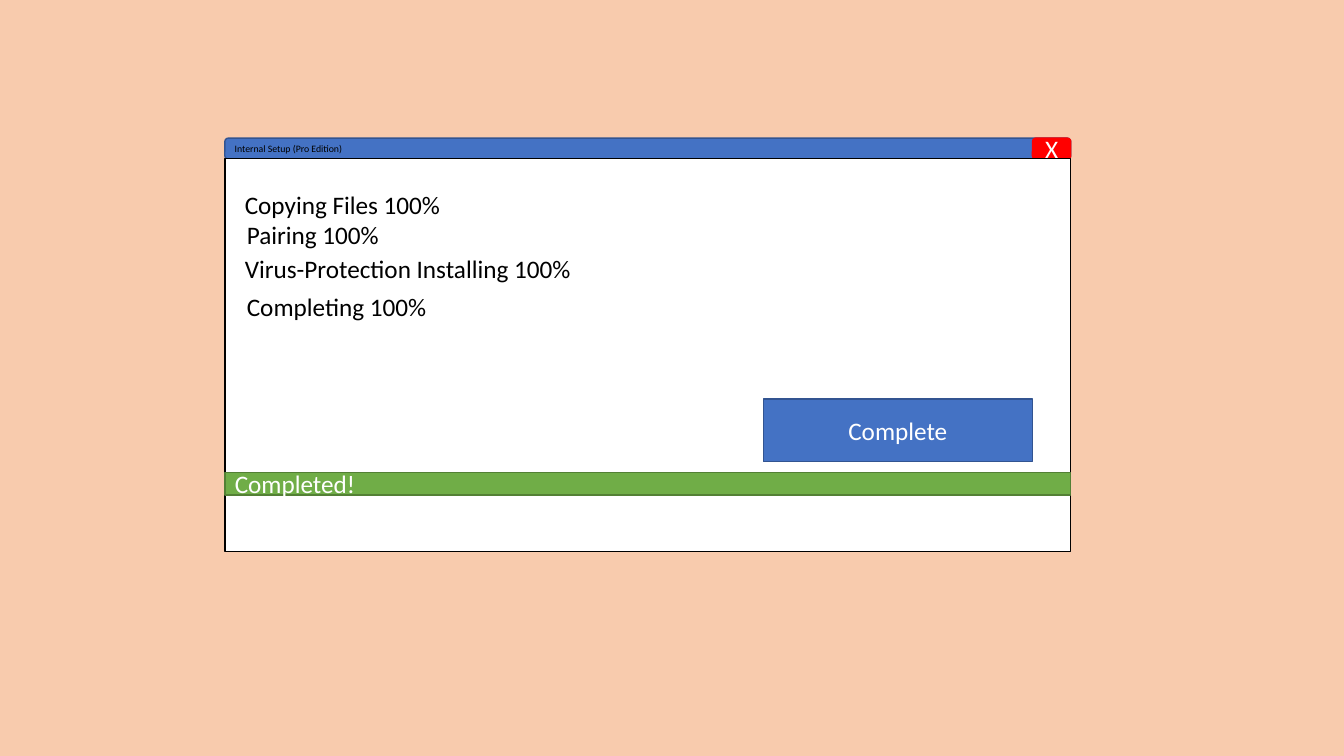
"""Build a slide showing a finished setup window."""
import pptx
import pptx.util
import pptx.dml.color
import pptx.enum.shapes
import pptx.enum.text

Inches = pptx.util.Inches
Pt = pptx.util.Pt
RGB = pptx.dml.color.RGBColor
KIND = pptx.enum.shapes.MSO_SHAPE
ALIGN = pptx.enum.text.PP_ALIGN
ANCHOR = pptx.enum.text.MSO_ANCHOR
FIT = pptx.enum.text.MSO_AUTO_SIZE

COLORS = {
    "peach": "F8CBAD", "blue": "4472C4", "navy": "325491", "red": "FF0000",
    "green": "70AD47", "moss": "538035", "white": "FFFFFF", "black": "000000",
}

deck = pptx.Presentation()
deck.slide_width, deck.slide_height = Inches(13.33), Inches(7.5)
slide = deck.slides.add_slide(deck.slide_layouts[6])


def write(shape, text, size=18, color="black", align=ALIGN.LEFT, anchor=ANCHOR.TOP):
    frame = shape.text_frame
    frame.word_wrap = True
    frame.vertical_anchor = anchor
    para = frame.paragraphs[0]
    para.alignment = align
    run = para.add_run()
    run.text = text
    run.font.size = Pt(size)
    run.font.name = "Calibri"
    run.font.color.rgb = RGB.from_string(COLORS[color])


def draw(kind, box, fill, line):
    shape = slide.shapes.add_shape(kind, *map(Inches, box))
    shape.shadow.inherit = False
    shape.fill.solid()
    shape.fill.fore_color.rgb = RGB.from_string(COLORS[fill])
    shape.line.color.rgb = RGB.from_string(COLORS[line])
    shape.line.width = Pt(1)
    return shape


left, top, width = 2.23, 1.37, 8.39

draw(KIND.RECTANGLE, (0, 0, 13.33, 7.5), "peach", "peach")
draw(KIND.ROUNDED_RECTANGLE, (left, top, width, 0.21), "blue", "navy")
close = draw(KIND.ROUNDED_RECTANGLE, (10.24, top, 0.38, 0.21), "red", "red")
write(close, "X", color="white", align=ALIGN.CENTER, anchor=ANCHOR.MIDDLE)
title = slide.shapes.add_textbox(*map(Inches, (left, top, 2.5, 0.22)))
write(title, "Internal Setup (Pro Edition)", size=7)
title.text_frame.auto_size = FIT.SHAPE_TO_FIT_TEXT

draw(KIND.RECTANGLE, (left, 1.57, width, 3.9), "white", "black")
bar = draw(KIND.RECTANGLE, (left, 4.69, width, 0.22), "green", "moss")
write(bar, "Completed!", color="white", anchor=ANCHOR.MIDDLE)
button = draw(KIND.RECTANGLE, (7.57, 3.96, 2.67, 0.62), "blue", "navy")
write(button, "Complete", color="white", align=ALIGN.CENTER, anchor=ANCHOR.MIDDLE)

steps = [
    ("Copying Files", 2.33, 1.83, 2.5),
    ("Pairing", 2.35, 2.13, 2.5),
    ("Virus-Protection Installing", 2.33, 2.46, 3.86),
    ("Completing", 2.35, 2.84, 2.5),
]
for name, x, y, wide in steps:
    label = slide.shapes.add_textbox(*map(Inches, (x, y, wide, 0.4)))
    write(label, f"{name} 100%")
    label.text_frame.auto_size = FIT.SHAPE_TO_FIT_TEXT

deck.save("out.pptx")
